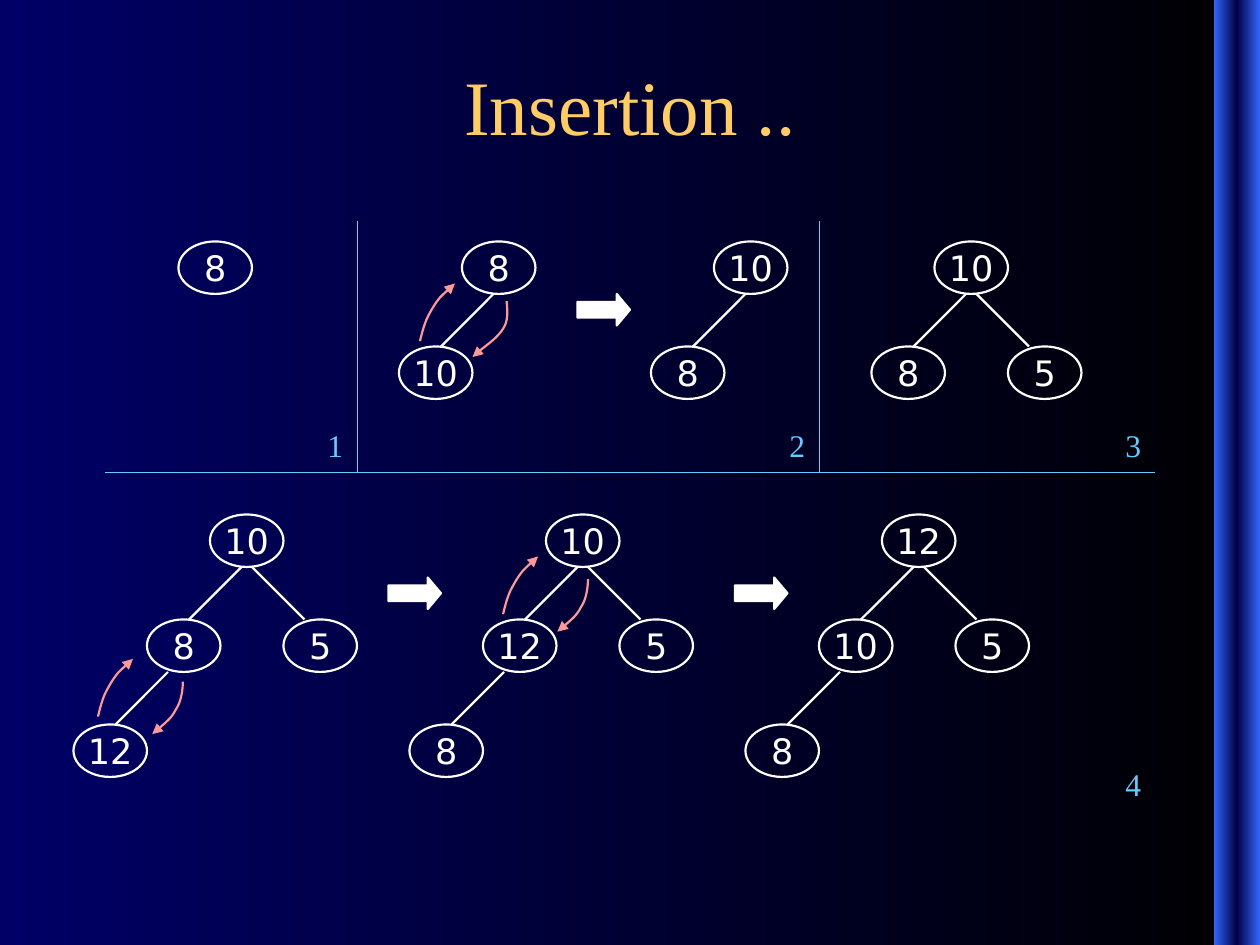
import copy
from dataclasses import dataclass
import lxml.etree
import pptx
import pptx.dml.color
import pptx.enum.shapes
import pptx.enum.text
import pptx.oxml.ns
import pptx.util

Pt = pptx.util.Pt
qn = pptx.oxml.ns.qn
Shape = pptx.enum.shapes.MSO_SHAPE
Align = pptx.enum.text.PP_ALIGN
Anchor = pptx.enum.text.MSO_ANCHOR


@dataclass(frozen=True)
class Theme:
    night: tuple = ("000000", "000066")
    band: tuple = ("3366FF", "000044", "3366FF")
    gold: str = "FFCC66"
    white: str = "FFFFFF"
    sky: str = "66CCFF"
    pink: str = "FF9999"
    serif: str = "Times New Roman"
    sans: str = "DejaVu Sans"
    head: float = 44
    node: float = 20
    label: float = 18
    thin: float = 0.5
    pen: float = 1.25


THEME = Theme()
NODE_W, NODE_H = 42, 30
SLOTS = [(0, 0), (-36, 60), (42, 60), (-78, 120)]
EDGES = [None, (18, 30, -12, 60), (24, 30, 54, 60), (-24, 90, -54, 120)]
RISE = [(0, 33), (0.5, 31), (2, 24.5), (4, 20), (6, 16), (8.5, 11.5),
        (11.5, 8), (14.5, 5), (18.5, 1.5), (20, 0)]
FALL = [(48.5, 13), (48.5, 16), (48, 24), (44.5, 29), (42, 34), (34, 40.5), (31, 43)]
WIDE_FALL = [(49.5, 10), (49.5, 12), (51, 20), (48, 25), (44.5, 31), (34, 38), (30, 42)]


def rgb(code):
    return pptx.dml.color.RGBColor.from_string(code)


def shade(fill, codes):
    fill.gradient()
    fill.gradient_angle = 180
    first = fill.gradient_stops[0]
    if len(codes) == 3:
        node = fill._fill._gradFill.gsLst
        node.insert(1, copy.deepcopy(node[0]))
    for i, (stop, code) in enumerate(zip(fill.gradient_stops, codes)):
        stop.color.rgb = rgb(code)
        stop.position = i / (len(codes) - 1)


def write(frame, text, size, font, color):
    frame.text = text
    style = frame.paragraphs[0].runs[0].font
    style.size, style.name = Pt(size), font
    style.color.rgb = rgb(color)
    return frame.paragraphs[0]


def stroke(line, color, width):
    line.color.rgb = rgb(color)
    line.width = Pt(width)


def add_line(shapes, x1, y1, x2, y2, color, width):
    line = shapes.add_connector(pptx.enum.shapes.MSO_CONNECTOR.STRAIGHT,
                                Pt(x1), Pt(y1), Pt(x2), Pt(y2))
    stroke(line.line, color, width)
    lxml.etree.SubElement(line.element.spPr, qn("a:effectLst"))


def add_node(shapes, x, y, text):
    node = shapes.add_shape(Shape.OVAL, Pt(x), Pt(y), Pt(NODE_W), Pt(NODE_H))
    node.shadow.inherit = False
    node.fill.background()
    stroke(node.line, THEME.white, THEME.pen)
    frame = node.text_frame
    frame.word_wrap = False
    frame.vertical_anchor = Anchor.MIDDLE
    para = write(frame, text, THEME.node, THEME.sans, THEME.white)
    para.alignment = Align.CENTER


def add_tree(slide, x, y, *keys):
    shapes = slide.shapes.add_group_shape().shapes
    for key, (dx, dy), edge in zip(keys, SLOTS, EDGES):
        add_node(shapes, x + dx, y + dy, str(key))
        if edge:
            x1, y1, x2, y2 = edge
            add_line(shapes, x + x1, y + y1, x + x2, y + y2, THEME.white, THEME.pen)


def add_curve(shapes, x, y, points):
    start, *rest = [(Pt(x + dx), Pt(y + dy)) for dx, dy in points]
    pen = shapes.build_freeform(*start)
    pen.add_line_segments(rest, close=False)
    curve = pen.convert_to_shape()
    curve.shadow.inherit = False
    curve.fill.background()
    stroke(curve.line, THEME.pink, THEME.pen)
    lxml.etree.SubElement(curve.element.spPr.get_or_add_ln(), qn("a:tailEnd"),
                          type="triangle")
    legs = list(curve.element.iter(qn("a:lnTo")))
    for i in range(0, len(legs), 3):
        bend = lxml.etree.Element(qn("a:cubicBezTo"))
        legs[i].addprevious(bend)
        for leg in legs[i:i + 3]:
            bend.append(leg[0])
            leg.getparent().remove(leg)


def add_swap(slide, x, y, fall=FALL):
    shapes = slide.shapes.add_group_shape().shapes
    for points in (RISE, fall):
        add_curve(shapes, x, y, points)


def add_arrow(slide, x, y):
    arrow = slide.shapes.add_shape(Shape.RIGHT_ARROW, Pt(x), Pt(y), Pt(30), Pt(18))
    arrow.adjustments[1] = 0.42
    arrow.shadow.inherit = False
    arrow.fill.solid()
    arrow.fill.fore_color.rgb = rgb(THEME.white)
    stroke(arrow.line, THEME.white, THEME.pen)


def add_label(slide, x, y, text):
    box = slide.shapes.add_textbox(Pt(x), Pt(y), Pt(30), Pt(29))
    box.text_frame.word_wrap = True
    para = write(box.text_frame, text, THEME.label, THEME.serif, THEME.sky)
    para.space_before = Pt(11.2)


def add_frame(slide, x, y, wide, high):
    slide.background.fill.gradient()
    shade(slide.background.fill, THEME.night)
    band = slide.shapes.add_shape(Shape.RECTANGLE, Pt(x + wide - 26.5), Pt(y),
                                  Pt(26.5), Pt(high))
    band.shadow.inherit = False
    band.line.fill.background()
    shade(band.fill, THEME.band)


def add_title(slide, x, y, wide, high):
    title = slide.shapes.title
    title.left, title.top, title.width, title.height = map(Pt, (x, y, wide, high))
    frame = title.text_frame
    frame.auto_size = pptx.enum.text.MSO_AUTO_SIZE.NONE
    frame.vertical_anchor = Anchor.MIDDLE
    para = write(frame, "Insertion ..", THEME.head, THEME.serif, THEME.gold)
    para.alignment = Align.CENTER


def add_top(slide, x, y, wide, high):
    base = y + high
    add_line(slide.shapes, x, base, x + wide, base, THEME.sky, THEME.thin)
    for dx in (144, 408):
        add_line(slide.shapes, x + dx, y, x + dx, base, THEME.sky, THEME.thin)
    for dx, keys in ((42, (8,)), (204, (8, 10)), (348, (10, 8)), (474, (10, 8, 5))):
        add_tree(slide, x + dx, y + 12, *keys)
    add_arrow(slide, x + 270, y + 42)
    add_swap(slide, x + 180, y + 36, WIDE_FALL)
    for dx, text in ((120, "1"), (384, "2"), (576, "3")):
        add_label(slide, x + dx, base - 30, text)


def add_low(slide, x, y, step):
    for i, keys in enumerate(((10, 8, 5, 12), (10, 12, 5, 8), (12, 10, 5, 8))):
        add_tree(slide, x + 78 + i * step, y, *keys)
    add_swap(slide, x + 14, y + 82.5)
    add_swap(slide, x + 245.5, y + 24)
    for dx in (180, 378):
        add_arrow(slide, x + dx, y + 36)
    add_label(slide, x + 594, y + 139.5, "4")


def main():
    deck = pptx.Presentation()
    deck.slide_width, deck.slide_height = Pt(720), Pt(540)
    slide = deck.slides.add_slide(deck.slide_layouts[5])
    add_frame(slide, 0, 0, 720, 540)
    add_title(slide, 24, 29.5, 672, 60.5)
    add_top(slide, 60, 126, 600, 144)
    add_low(slide, 42, 294, 192)
    deck.save("out.pptx")


if __name__ == "__main__":
    main()
